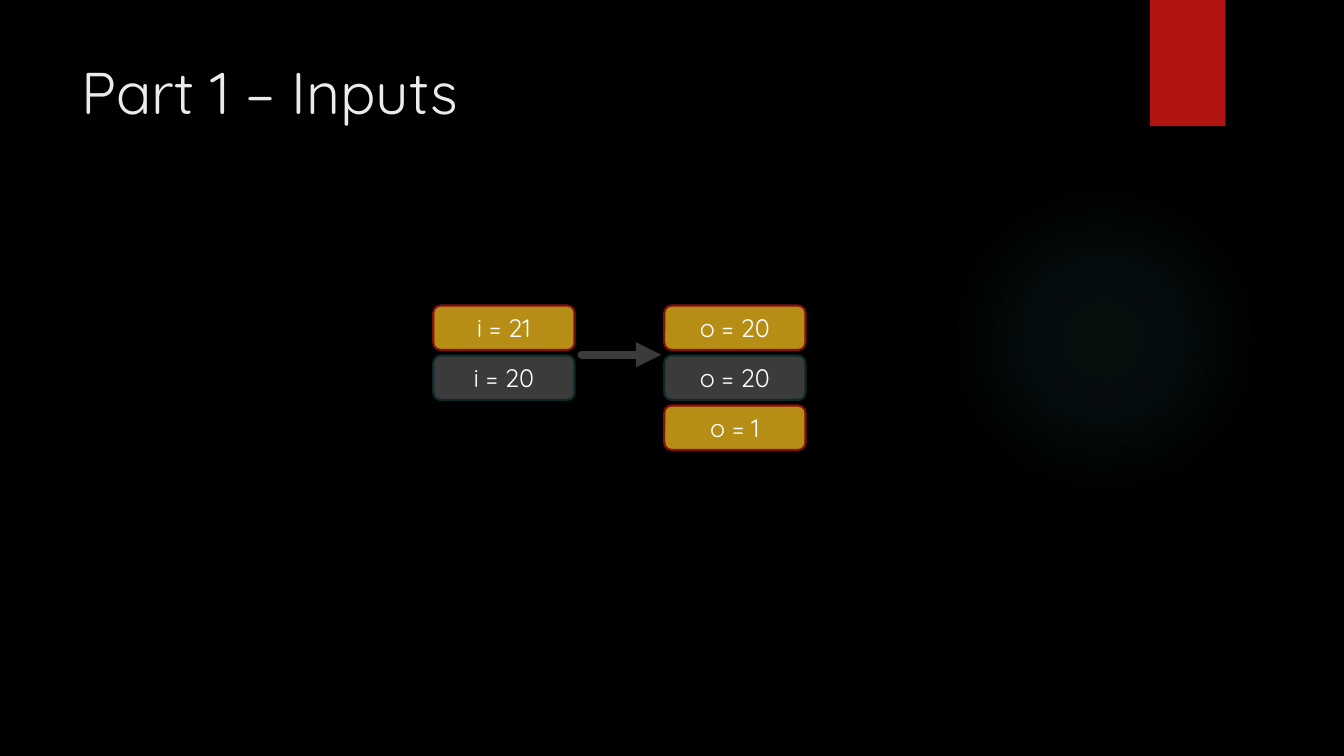
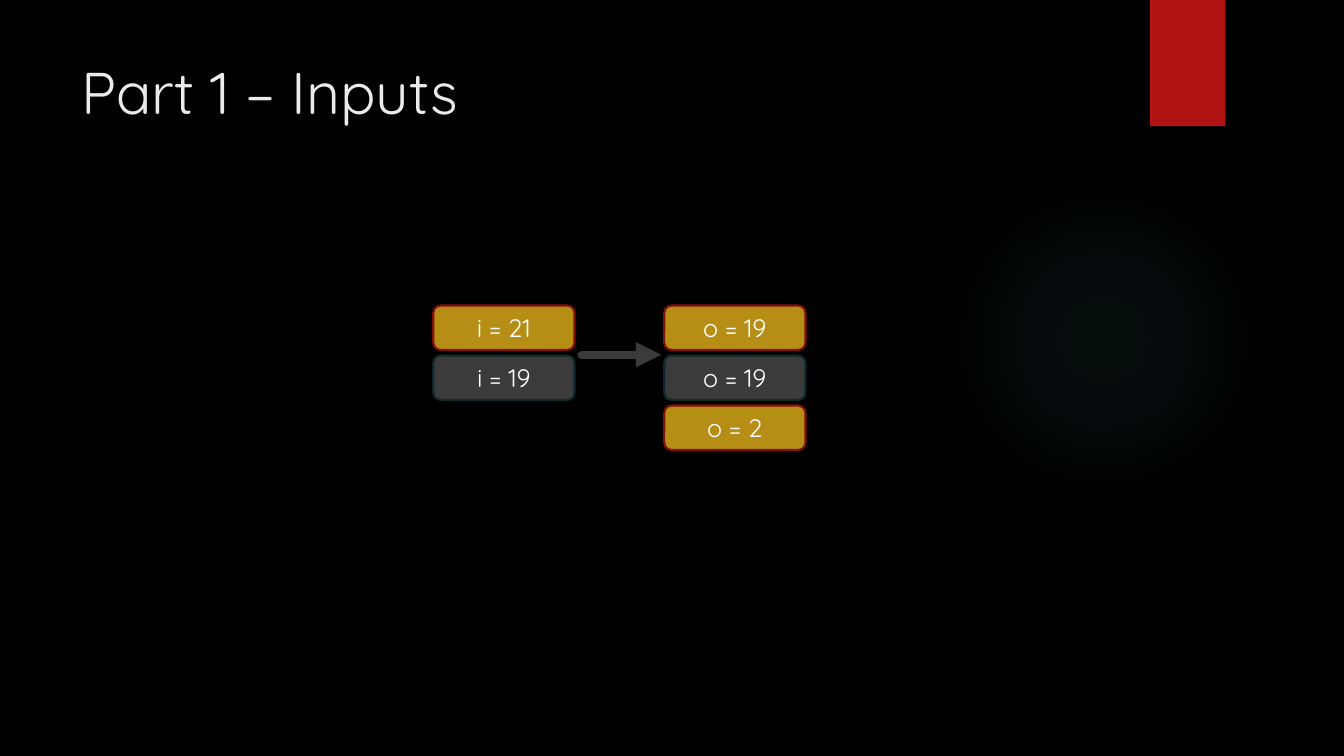
from dataclasses import dataclass

from lxml.etree import SubElement
from pptx import Presentation
from pptx.dml.color import RGBColor
from pptx.enum.shapes import MSO_CONNECTOR as Connector, MSO_SHAPE as Preset
from pptx.enum.text import MSO_ANCHOR as Anchor, PP_ALIGN as Align
from pptx.oxml.ns import qn
from pptx.util import Cm, Pt

# Shared style
FONT = "Quicksand"
BLACK, RED, GLOW = "000000", "B01513", "50B9C1"
TITLE_COLOR, WHITE, GRAY = "EBEBEB", "FFFFFF", "3B3B3B"
GLOW_STOPS = ((0, 7), (36, 6), (69, 0))  # position and opacity in percent

# Stack layout in centimetres
INPUT_LEFT, OUTPUT_LEFT = 10.92, 16.74
STACK_TOP, ROW_PITCH = 7.7, 1.26
BOX_WIDTH, BOX_HEIGHT = 3.56, 1.12
ARROW_START, ARROW_END, ARROW_Y = 14.66, 16.66, 8.94


@dataclass(frozen=True)
class BoxStyle:
    fill: str
    line: str


@dataclass(frozen=True)
class Example:
    title: str
    inputs: tuple[str, ...]
    outputs: tuple[str, ...]


GOLD_BOX = BoxStyle("B68E15", "82100E")
GRAY_BOX = BoxStyle(GRAY, "0F282A")
ROW_STYLES = (GOLD_BOX, GRAY_BOX, GOLD_BOX)

EXAMPLES = (
    Example("Part 1 – Inputs", ("i = 21", "i = 20"), ("o = 20", "o = 20", "o = 1")),
    Example("Part 1 – Inputs", ("i = 21", "i = 19"), ("o = 19", "o = 19", "o = 2")),
)


def color(value: str) -> RGBColor:
    return RGBColor.from_string(value)


def write_text(shape, text: str, *, size: float, text_color: str,
               align=Align.LEFT, anchor=Anchor.TOP) -> None:
    frame = shape.text_frame
    frame.word_wrap = True
    frame.vertical_anchor = anchor
    paragraph = frame.paragraphs[0]
    paragraph.alignment = align
    run = paragraph.add_run()
    run.text = text
    run.font.name = FONT
    run.font.size = Pt(size)
    run.font.color.rgb = color(text_color)


def add_preset(slide, preset, left: float, top: float, width: float, height: float,
               fill: str | None = None, line: str | None = None):
    shape = slide.shapes.add_shape(preset, Cm(left), Cm(top), Cm(width), Cm(height))
    shape.shadow.inherit = False
    if fill:
        shape.fill.solid()
        shape.fill.fore_color.rgb = color(fill)
    else:
        shape.fill.background()
    if line:
        shape.line.color.rgb = color(line)
        shape.line.width = Pt(1.5)
    else:
        shape.line.fill.background()
    return shape


def add_glow(slide) -> None:
    """Draw a circle that fades out from its centre."""
    properties = add_preset(slide, Preset.OVAL, 23.9, 4.65, 7.82, 7.82)._element.spPr
    gradient = SubElement(properties, qn("a:gradFill"), rotWithShape="1")
    stops = SubElement(gradient, qn("a:gsLst"))
    for position, opacity in GLOW_STOPS:
        stop = SubElement(stops, qn("a:gs"), pos=str(position * 1000))
        stop_color = SubElement(stop, qn("a:srgbClr"), val=GLOW)
        SubElement(stop_color, qn("a:alpha"), val=str(opacity * 1000))
    circle = SubElement(gradient, qn("a:path"), path="circle")
    SubElement(circle, qn("a:fillToRect"), l="50000", t="50000", r="50000", b="50000")
    properties.replace(properties.find(qn("a:noFill")), gradient)


def add_stack(slide, left: float, labels: tuple[str, ...]) -> None:
    for row, (label, style) in enumerate(zip(labels, ROW_STYLES)):
        box = add_preset(slide, Preset.ROUNDED_RECTANGLE, left, STACK_TOP + row * ROW_PITCH,
                         BOX_WIDTH, BOX_HEIGHT, style.fill, style.line)
        write_text(box, label, size=18, text_color=WHITE,
                   align=Align.CENTER, anchor=Anchor.MIDDLE)


def add_arrow(slide) -> None:
    arrow = slide.shapes.add_connector(Connector.STRAIGHT, Cm(ARROW_START), Cm(ARROW_Y),
                                       Cm(ARROW_END), Cm(ARROW_Y))
    arrow.line.color.rgb = color(GRAY)
    arrow.line.width = Pt(6)
    properties = arrow._element.spPr
    line = properties.find(qn("a:ln"))
    line.set("cap", "rnd")
    SubElement(line, qn("a:tailEnd"), type="triangle")
    SubElement(properties, qn("a:effectLst"))


def add_base_slide(presentation, title: str):
    """Add a slide with the shared background, glow, ribbon and title."""
    slide = presentation.slides.add_slide(presentation.slide_layouts[6])
    slide.background.fill.solid()
    slide.background.fill.fore_color.rgb = color(BLACK)
    add_glow(slide)
    add_preset(slide, Preset.RECTANGLE, 28.98, 0, 1.9, 3.18, RED)
    title_box = slide.shapes.add_textbox(Cm(1.8), Cm(1.27), Cm(26.14), Cm(3.89))
    write_text(title_box, title, size=42, text_color=TITLE_COLOR)
    return slide


def main() -> None:
    presentation = Presentation()
    presentation.slide_width, presentation.slide_height = Cm(33.87), Cm(19.05)
    for example in EXAMPLES:
        slide = add_base_slide(presentation, example.title)
        add_stack(slide, INPUT_LEFT, example.inputs)
        add_arrow(slide)
        add_stack(slide, OUTPUT_LEFT, example.outputs)
    presentation.save("out.pptx")


if __name__ == "__main__":
    main()
